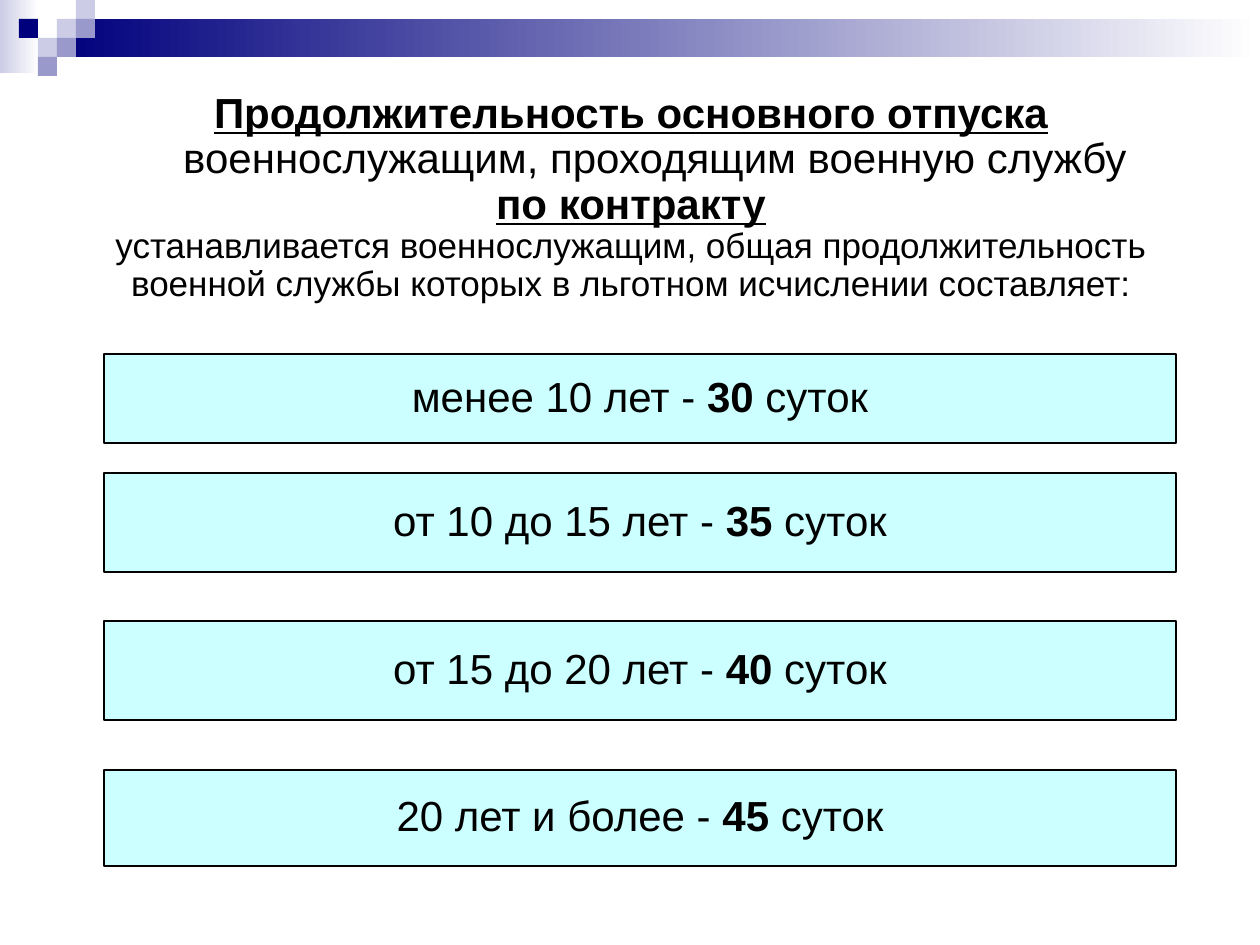
"""Build the slide on the length of basic leave for contract servicemen."""
from pptx import Presentation
from pptx.dml.color import RGBColor
from pptx.enum.shapes import MSO_SHAPE as SHAPE
from pptx.enum.text import MSO_ANCHOR as ANCHOR, MSO_AUTO_SIZE as AUTO, PP_ALIGN as ALIGN
from pptx.util import Pt

PX = 914400 // 126
COLORS = {"navy": "00007D", "mid": "9999CC", "pale": "CCCCE6",
          "white": "FFFFFF", "bar": "CCFFFF", "black": "000000"}

HEADING = [
    [("Продолжительность основного отпуска", 24, True),
     (" военнослужащим, проходящим военную службу", 24, False)],
    [("по контракту", 24, True)],
    [("устанавливается военнослужащим, общая продолжительность", 20, False)],
    [("военной службы которых в льготном исчислении составляет:", 20, False)],
]
TERMS = [
    ("менее 10 лет", "30", 354, 89),
    ("от 10 до 15 лет", "35", 473, 99),
    ("от 15 до 20 лет", "40", 621, 99),
    ("20 лет и более", "45", 770, 96),
]
BANDS = [((0, 0, 39, 73), "pale"), ((57, 19, 1203, 38), "navy")]
SQUARE = 19
SQUARES = [(3, 1, "pale"), (4, 0, "pale"), (4, 1, "mid"), (2, 2, "pale"),
           (1, 1, "navy"), (3, 2, "mid"), (2, 3, "mid")]


def rgb(name):
    return RGBColor.from_string(COLORS[name])


def add_rect(s, box, fill, fade=False, line=None):
    sp = s.shapes.add_shape(SHAPE.RECTANGLE, *(v * PX for v in box))
    sp.shadow.inherit = False
    if fade:
        sp.fill.gradient()
        sp.fill.gradient_angle = 0
        for stop, name in zip(sp.fill.gradient_stops, (fill, "white")):
            stop.color.rgb = rgb(name)
    else:
        sp.fill.solid()
        sp.fill.fore_color.rgb = rgb(fill)
    if line:
        sp.line.color.rgb = rgb(line)
        sp.line.width = Pt(0.75)
    else:
        sp.line.fill.background()
    return sp


def add_run(p, text, size=24, bold=False, underline=False):
    r = p.add_run()
    r.text = text
    r.font.name = "Arial"
    r.font.size = Pt(size)
    r.font.bold = bold
    r.font.underline = underline
    r.font.color.rgb = rgb("black")


def format_paragraph(p, before=0, hanging=0):
    p.alignment = ALIGN.CENTER
    p.line_spacing = 0.9
    p.space_before = Pt(before)
    if hanging:
        pPr = p._p.get_or_add_pPr()
        pPr.set("marL", str(hanging * PX))
        pPr.set("indent", str(-hanging * PX))


def add_heading(s):
    sp = s.shapes.title
    sp.left, sp.top, sp.width, sp.height = (v * PX for v in (64, 86, 1134, 228))
    tf = sp.text_frame
    tf.word_wrap = True
    tf.auto_size = AUTO.NONE
    tf.vertical_anchor = ANCHOR.TOP
    for i, runs in enumerate(HEADING):
        p = tf.add_paragraph() if i else tf.paragraphs[0]
        format_paragraph(p, before=0 if i else 6, hanging=48)
        for text, size, strong in runs:
            add_run(p, text, size=size, bold=strong, underline=strong)


def add_term(s, service, days, top, height):
    sp = add_rect(s, (104, top, 1072, height), "bar", line="black")
    tf = sp.text_frame
    tf.word_wrap = False
    tf.vertical_anchor = ANCHOR.MIDDLE
    p = tf.paragraphs[0]
    format_paragraph(p, before=6)
    add_run(p, f"{service} - ")
    add_run(p, days, bold=True)
    add_run(p, " суток")


def main():
    prs = Presentation()
    prs.slide_width, prs.slide_height = 1260 * PX, 945 * PX
    s = prs.slides.add_slide(prs.slide_layouts[5])
    for box, color in BANDS:
        add_rect(s, box, color, fade=True)
    for col, row, color in SQUARES:
        add_rect(s, (col * SQUARE, row * SQUARE, SQUARE, SQUARE), color)
    add_heading(s)
    for term in TERMS:
        add_term(s, *term)
    prs.save("out.pptx")


if __name__ == "__main__":
    main()
